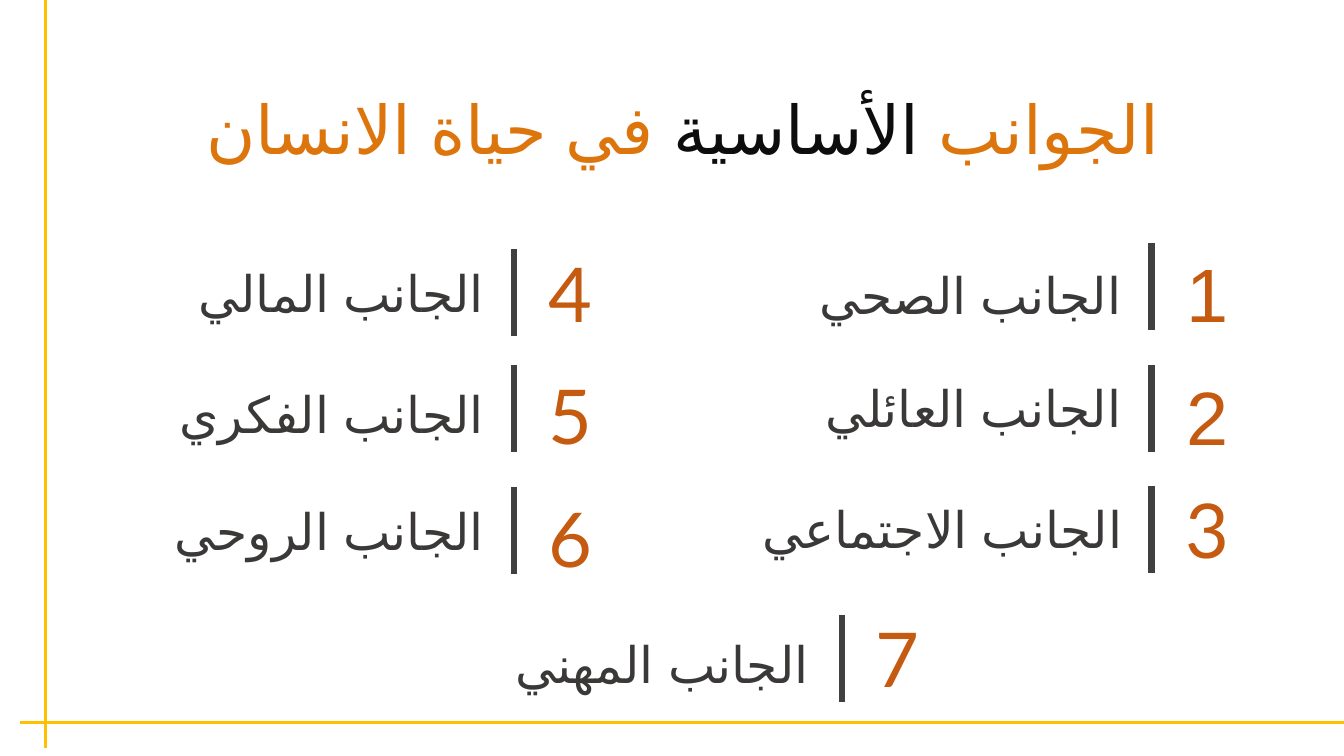
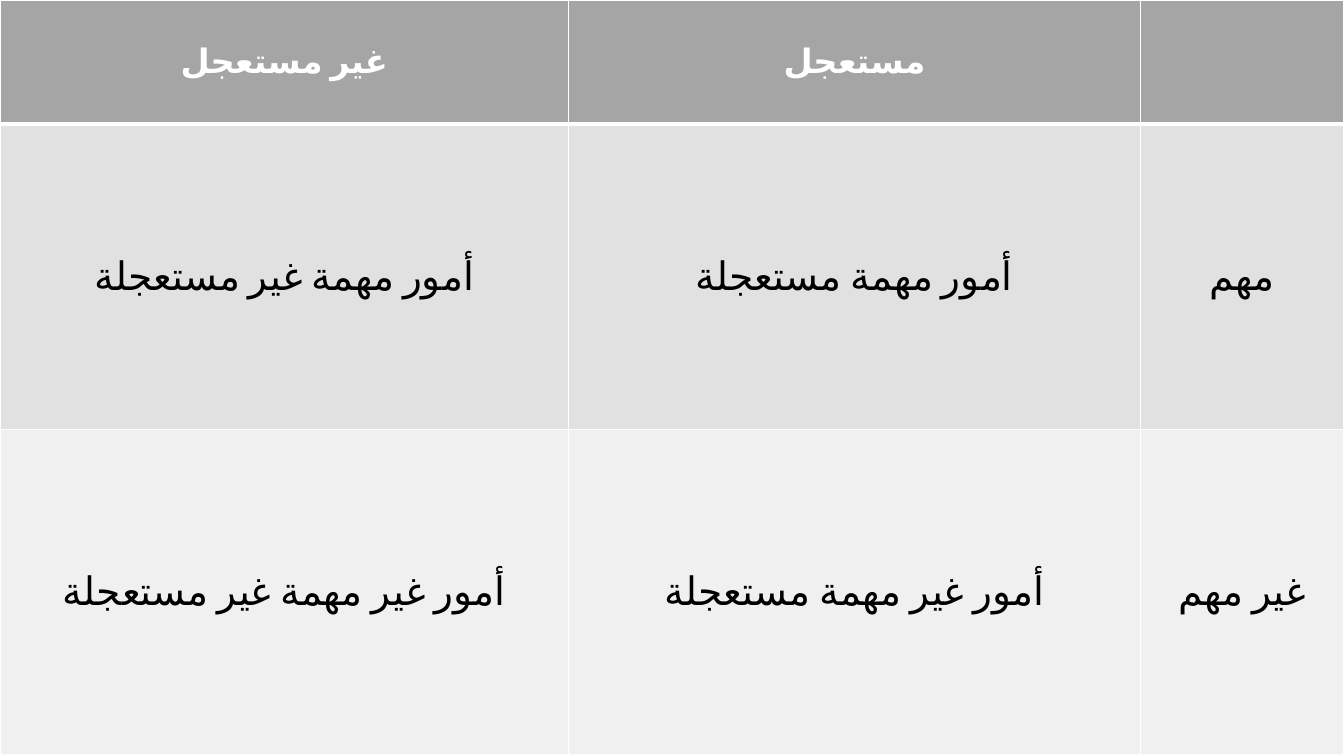
from dataclasses import dataclass
from typing import Any, Optional, Sequence

import pptx
import pptx.dml.color
import pptx.enum.lang
import pptx.enum.shapes
import pptx.enum.text
import pptx.oxml
import pptx.oxml.ns
import pptx.presentation
import pptx.slide
import pptx.text.text
import pptx.util

EMU_PER_PX = 9144
SLIDE_WIDTH, SLIDE_HEIGHT = 1333, 750
ALIGN = pptx.enum.text.PP_ALIGN
ARABIC = pptx.enum.lang.MSO_LANGUAGE_ID.ARABIC


@dataclass(frozen=True)
class Theme:
    title: str = "DD750D"
    emphasis: str = "0D0D0D"
    label: str = "3B3838"
    number: str = "C55A11"
    bar: str = "404040"
    frame: str = "FFC000"
    white: str = "FFFFFF"
    black: str = "000000"
    table_rows: tuple[str, ...] = ("A5A5A5", "E1E1E1", "F0F0F0")
    text_font: str = "Arial"
    number_font: str = "Lato"
    table_font: str = "Calibri"
    title_size: int = 48
    label_size: int = 36
    number_size: int = 54
    header_size: int = 24
    cell_size: int = 28
    bar_width: float = 4.5
    frame_width: float = 2.25
    border_width: int = 1
    header_rule_width: int = 3


THEME = Theme()


@dataclass(frozen=True)
class TextStyle:
    font: str
    size: int
    color: str
    bold: bool = False
    arabic_font: str = ""
    language: Optional[pptx.enum.lang.MSO_LANGUAGE_ID] = ARABIC


@dataclass(frozen=True)
class Box:
    left: int
    top: int
    width: int
    height: int


@dataclass(frozen=True)
class Aspect:
    number: str
    label: str
    bar_x: int
    bar_top: int
    label_top: int
    number_top: int
    label_width: int = 354
    label_gap: int = 20
    number_rtl: bool = False
    number_arabic_font: str = THEME.number_font


TITLE_BOX = Box(110, 82, 1134, 91)
TITLE_PARTS = (
    ("الجوانب ", THEME.title),
    ("الأساسية", THEME.emphasis),
    (" في حياة الانسان", THEME.title),
)
RIGHT_BAR, LEFT_BAR, LAST_BAR = 1142, 510, 835
BAR_HEIGHT, LABEL_HEIGHT = 86, 71
NUMBER_GAP, NUMBER_WIDTH, NUMBER_HEIGHT = 20, 71, 101
ASPECTS = (
    Aspect("1", "الجانب الصحي", RIGHT_BAR, 241, 257, 240,
           number_rtl=True, number_arabic_font=THEME.text_font),
    Aspect("2", "الجانب العائلي", RIGHT_BAR, 362, 369, 362,
           number_rtl=True, number_arabic_font=THEME.text_font),
    Aspect("3", "الجانب الاجتماعي", RIGHT_BAR, 482, 489, 474,
           label_width=409, label_gap=19, number_arabic_font=THEME.text_font),
    Aspect("4", "الجانب المالي", LEFT_BAR, 247, 255, 240),
    Aspect("5", "الجانب الفكري", LEFT_BAR, 362, 375, 361),
    Aspect("6", "الجانب الروحي", LEFT_BAR, 483, 491, 483),
    Aspect("7", "الجانب المهني", LAST_BAR, 610, 623, 602, label_gap=23),
)
FRAME_LINES = ((45, 0, 45, 742), (SLIDE_WIDTH, 717, 20, 717))

MATRIX_COLUMNS = (564, 567, 202)
MATRIX_ROWS = (123, 303, 323)
MATRIX = (
    ("غير مستعجل", "مستعجل", ""),
    ("أمور مهمة غير مستعجلة", "أمور مهمة مستعجلة", "مهم"),
    ("أمور غير مهمة غير مستعجلة", "أمور غير مهمة مستعجلة", "غير مهم"),
)


def px(length: int) -> pptx.util.Emu:
    return pptx.util.Emu(length * EMU_PER_PX)


def rgb(color: str) -> pptx.dml.color.RGBColor:
    return pptx.dml.color.RGBColor.from_string(color)


def apply_format(target: Any, values: dict[str, Any]) -> None:
    for attribute, value in values.items():
        setattr(target, attribute, value)


def add_run(paragraph: pptx.text.text._Paragraph, text: str, style: TextStyle) -> None:
    run = paragraph.add_run()
    run.text = text
    apply_format(run.font, {
        "name": style.font,
        "size": pptx.util.Pt(style.size),
        "bold": style.bold,
        "language_id": style.language,
    })
    run.font.color.rgb = rgb(style.color)
    arabic = pptx.oxml.parse_xml(f'<a:cs {pptx.oxml.ns.nsdecls("a")}/>')
    arabic.set("typeface", style.arabic_font or style.font)
    run.font._element.append(arabic)


def set_direction(paragraph: pptx.text.text._Paragraph, align: Any, rtl: bool) -> None:
    paragraph.alignment = align
    if rtl:
        paragraph._p.get_or_add_pPr().set("rtl", "1")


def add_text(slide: pptx.slide.Slide, box: Box, parts: Sequence[tuple[str, TextStyle]],
             align: Any, rtl: bool = True) -> None:
    frame = slide.shapes.add_textbox(
        px(box.left), px(box.top), px(box.width), px(box.height)).text_frame
    apply_format(frame, {
        "word_wrap": True,
        "auto_size": pptx.enum.text.MSO_AUTO_SIZE.SHAPE_TO_FIT_TEXT,
    })
    paragraph = frame.paragraphs[0]
    set_direction(paragraph, align, rtl)
    for text, style in parts:
        add_run(paragraph, text, style)


def add_line(slide: pptx.slide.Slide, ends: tuple[int, int, int, int],
             color: str, width: float) -> None:
    line = slide.shapes.add_connector(
        pptx.enum.shapes.MSO_CONNECTOR.STRAIGHT, *(px(end) for end in ends))
    line.line.color.rgb = rgb(color)
    line.line.width = pptx.util.Pt(width)
    line._element.spPr.append(
        pptx.oxml.parse_xml(f'<a:effectLst {pptx.oxml.ns.nsdecls("a")}/>'))


def add_aspect(slide: pptx.slide.Slide, aspect: Aspect) -> None:
    add_line(slide,
             (aspect.bar_x, aspect.bar_top, aspect.bar_x, aspect.bar_top + BAR_HEIGHT),
             THEME.bar, THEME.bar_width)
    label_left = aspect.bar_x - aspect.label_gap - aspect.label_width
    add_text(slide, Box(label_left, aspect.label_top, aspect.label_width, LABEL_HEIGHT),
             [(aspect.label, TextStyle(THEME.text_font, THEME.label_size, THEME.label))],
             ALIGN.RIGHT)
    number_style = TextStyle(THEME.number_font, THEME.number_size, THEME.number,
                             arabic_font=aspect.number_arabic_font, language=None)
    add_text(slide,
             Box(aspect.bar_x + NUMBER_GAP, aspect.number_top, NUMBER_WIDTH, NUMBER_HEIGHT),
             [(aspect.number, number_style)], ALIGN.CENTER, aspect.number_rtl)


def add_borders(cell: Any, widths: dict[str, int]) -> None:
    properties = cell._tc.get_or_add_tcPr()
    for position, (side, width) in enumerate(widths.items()):
        properties.insert(position, pptx.oxml.parse_xml(
            f'<a:{side} {pptx.oxml.ns.nsdecls("a")} w="{pptx.util.Pt(width)}">'
            f'<a:solidFill><a:srgbClr val="{THEME.white}"/></a:solidFill></a:{side}>'))


def fill_cell(cell: Any, row: int, text: str) -> None:
    cell.fill.solid()
    cell.fill.fore_color.rgb = rgb(THEME.table_rows[row])
    cell.vertical_anchor = pptx.enum.text.MSO_ANCHOR.MIDDLE
    thin, thick = THEME.border_width, THEME.header_rule_width
    add_borders(cell, {
        "lnL": thin,
        "lnR": thin,
        "lnT": thick if row == 1 else thin,
        "lnB": thick if row == 0 else thin,
    })
    paragraph = cell.text_frame.paragraphs[0]
    set_direction(paragraph, ALIGN.CENTER, True)
    if text:
        header = TextStyle(THEME.table_font, THEME.header_size, THEME.white, bold=True)
        body = TextStyle(THEME.table_font, THEME.cell_size, THEME.black)
        add_run(paragraph, text, header if row == 0 else body)


def add_blank_slide(deck: pptx.presentation.Presentation) -> pptx.slide.Slide:
    slide = deck.slides.add_slide(deck.slide_layouts[6])
    slide.background.fill.solid()
    slide.background.fill.fore_color.rgb = rgb(THEME.white)
    return slide


def build_aspects(deck: pptx.presentation.Presentation) -> None:
    slide = add_blank_slide(deck)
    add_text(slide, TITLE_BOX,
             [(text, TextStyle(THEME.text_font, THEME.title_size, color))
              for text, color in TITLE_PARTS], ALIGN.CENTER)
    for aspect in ASPECTS:
        add_aspect(slide, aspect)
    for ends in FRAME_LINES:
        add_line(slide, ends, THEME.frame, THEME.frame_width)


def build_matrix(deck: pptx.presentation.Presentation) -> None:
    slide = add_blank_slide(deck)
    matrix = slide.shapes.add_table(
        len(MATRIX_ROWS), len(MATRIX_COLUMNS), px(0), px(0),
        px(sum(MATRIX_COLUMNS)), px(sum(MATRIX_ROWS))).table
    apply_format(matrix, {"first_row": True, "horz_banding": False})
    for column, width in zip(matrix.columns, MATRIX_COLUMNS):
        column.width = px(width)
    for row, height in zip(matrix.rows, MATRIX_ROWS):
        row.height = px(height)
    for row, texts in enumerate(MATRIX):
        for column, text in enumerate(texts):
            fill_cell(matrix.cell(row, column), row, text)


def main() -> None:
    deck = pptx.Presentation()
    apply_format(deck, {"slide_width": px(SLIDE_WIDTH), "slide_height": px(SLIDE_HEIGHT)})
    build_aspects(deck)
    build_matrix(deck)
    deck.save("out.pptx")


if __name__ == "__main__":
    main()
